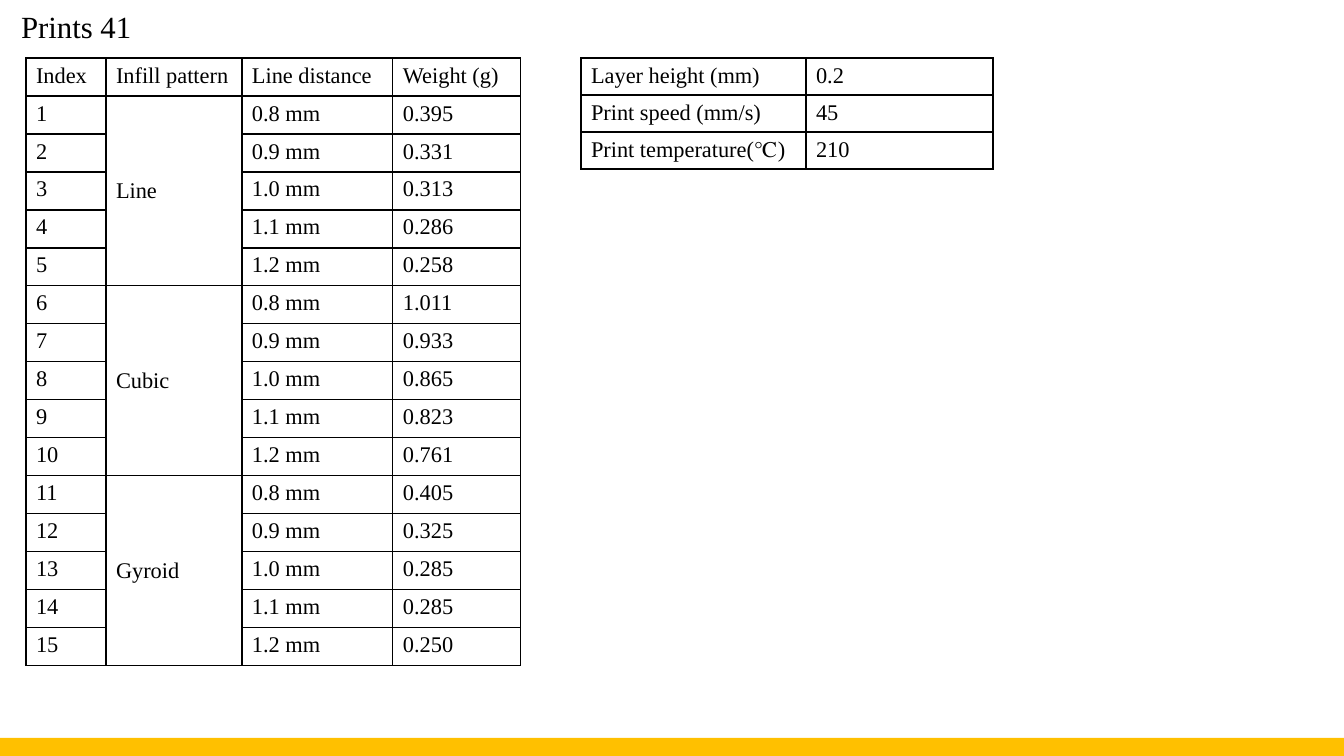
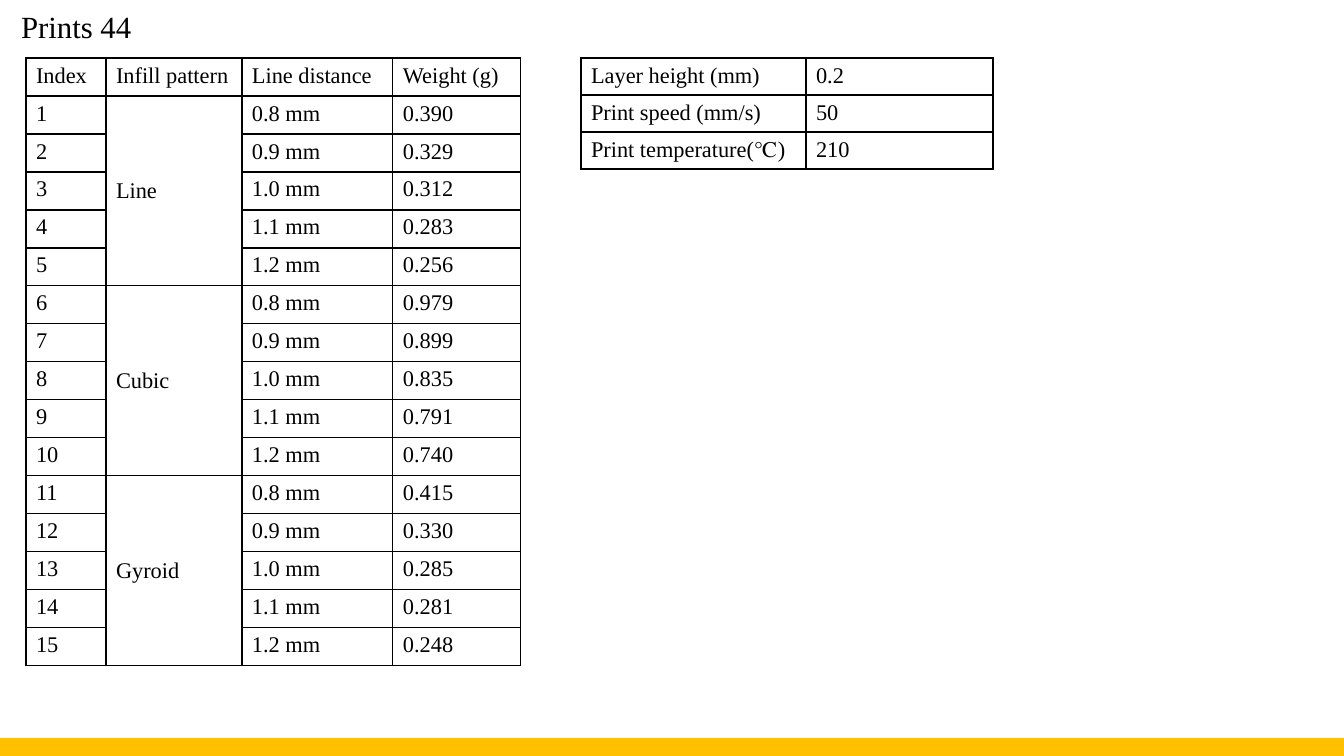
"""Build two slides of print settings and sample weights."""
from lxml.etree import SubElement
from pptx import Presentation
from pptx.dml.color import RGBColor
from pptx.enum.shapes import MSO_SHAPE as Preset
from pptx.enum.text import MSO_ANCHOR as Anchor, MSO_AUTO_SIZE as AutoSize, PP_ALIGN as Align
from pptx.oxml.ns import qn
from pptx.util import Pt

EMU_PER_PX = 12192000 / 1344
WIDTH, HEIGHT = 1344, 756
TABLE_TOP = 58
PATTERNS = ["Line", "Cubic", "Gyroid"]
DISTANCES = ["0.8 mm", "0.9 mm", "1.0 mm", "1.1 mm", "1.2 mm"]
HEADER = ["Index", "Infill pattern", "Line distance", "Weight (g)"]
PRINTS = [
    ("Prints 41", "45", ["0.395", "0.331", "0.313", "0.286", "0.258",
                         "1.011", "0.933", "0.865", "0.823", "0.761",
                         "0.405", "0.325", "0.285", "0.285", "0.250"]),
    ("Prints 44", "50", ["0.390", "0.329", "0.312", "0.283", "0.256",
                         "0.979", "0.899", "0.835", "0.791", "0.740",
                         "0.415", "0.330", "0.285", "0.281", "0.248"]),
]


def px(length):
    return round(length * EMU_PER_PX)


def color(value):
    return RGBColor.from_string(value)


class Deck:
    font_name = "Times New Roman"
    ink = "000000"
    accent = "FFC000"
    title_size = 22
    cell_size = 16
    border_width = 1

    def __init__(self):
        self.presentation = Presentation()
        self.presentation.slide_width = px(WIDTH)
        self.presentation.slide_height = px(HEIGHT)
        self.slide = None

    def add_slide(self):
        layout = self.presentation.slide_layouts.get_by_name("Title Only")
        self.slide = self.presentation.slides.add_slide(layout)

    def master_band(self, left, top, width, height):
        band = self.slide.shapes.add_shape(
            Preset.RECTANGLE, px(left), px(top), px(width), px(height))
        band.shadow.inherit = False
        band.fill.solid()
        band.fill.fore_color.rgb = color(self.accent)
        band.line.fill.background()
        self.presentation.slide_master.shapes.element.insert(2, band.element)

    def format_text(self, text_frame, size):
        for paragraph in text_frame.paragraphs:
            paragraph.alignment = Align.LEFT
            for run in paragraph.runs:
                run.font.size = Pt(size)
                run.font.name = self.font_name
                run.font.color.rgb = color(self.ink)
                properties = run.font.color and run._r.get_or_add_rPr()
                SubElement(properties, qn("a:ea"), typeface=self.font_name)

    def title(self, text, left, top, width, height):
        title = self.slide.shapes.title
        title.left, title.top = px(left), px(top)
        title.width, title.height = px(width), px(height)
        text_frame = title.text_frame
        text_frame.text = text
        text_frame.auto_size = AutoSize.NONE
        text_frame.vertical_anchor = Anchor.MIDDLE
        text_frame.paragraphs[0].line_spacing = 0.9
        self.format_text(text_frame, self.title_size)

    def border(self, cell):
        properties = cell._tc.get_or_add_tcPr()
        for side in ("lnL", "lnR", "lnT", "lnB"):
            line = SubElement(properties, qn(f"a:{side}"), w=str(Pt(self.border_width)))
            fill = SubElement(line, qn("a:solidFill"))
            SubElement(fill, qn("a:srgbClr"), val=self.ink)

    def table(self, rows, left, top, widths, row_height):
        frame = self.slide.shapes.add_table(
            len(rows), len(widths), px(left), px(top),
            px(sum(widths)), px(row_height * len(rows)))
        table = frame.table
        table.first_row = table.horz_banding = False
        for column, width in zip(table.columns, widths):
            column.width = px(width)
        for row, texts in zip(table.rows, rows):
            row.height = px(row_height)
            for cell, text in zip(row.cells, texts):
                cell.text_frame.text = text
                self.format_text(cell.text_frame, self.cell_size)
                self.border(cell)
                cell.fill.background()
        return table

    def merge_down(self, table, first_row, column, count):
        cell = table.cell(first_row, column)
        cell.merge(table.cell(first_row + count - 1, column))
        cell.vertical_anchor = Anchor.MIDDLE

    def save(self):
        self.presentation.save("out.pptx")


def weight_rows(weights):
    rows = [HEADER]
    for index, weight in enumerate(weights):
        group, step = divmod(index, len(DISTANCES))
        pattern = PATTERNS[group] if step == 0 else ""
        rows.append([str(index + 1), pattern, DISTANCES[step], weight])
    return rows


def main():
    deck = Deck()
    for number, (name, speed, weights) in enumerate(PRINTS):
        deck.add_slide()
        if number == 0:
            deck.master_band(0, 738, WIDTH, 18)
        deck.title(name, 11, 0, 1333, 57)
        settings = [["Layer height (mm)", "0.2"],
                    ["Print speed (mm/s)", speed],
                    ["Print temperature(℃)", "210"]]
        deck.table(settings, 581, TABLE_TOP, [225, 187], 37)
        table = deck.table(weight_rows(weights), 26, TABLE_TOP, [80, 136, 151, 128], 38)
        for group in range(len(PATTERNS)):
            deck.merge_down(table, 1 + group * len(DISTANCES), 1, len(DISTANCES))
    deck.save()


if __name__ == "__main__":
    main()
